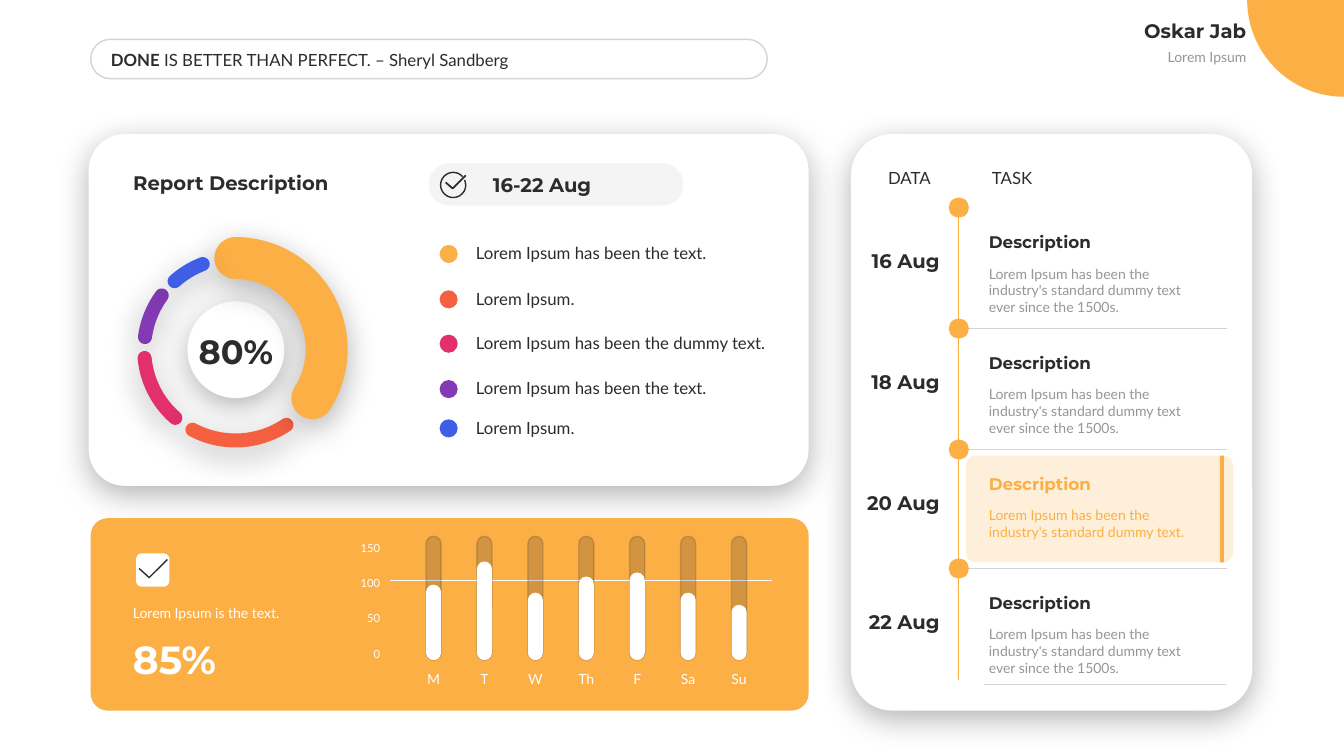
from dataclasses import dataclass

from lxml.etree import SubElement
from pptx import Presentation
from pptx.dml.color import RGBColor
from pptx.enum.shapes import MSO_CONNECTOR, MSO_SHAPE as Preset
from pptx.enum.text import MSO_ANCHOR as Anchor, MSO_AUTO_SIZE, PP_ALIGN as Align
from pptx.oxml.ns import qn
from pptx.util import Inches, Pt


@dataclass(frozen=True)
class Theme:
    ink: str = "2C2C2C"
    grey: str = "969696"
    white: str = "FFFFFF"
    black: str = "000000"
    amber: str = "FCAF45"
    cream: str = "FEEFDA"
    orange: str = "F56040"
    pink: str = "E1306C"
    purple: str = "833AB4"
    blue: str = "405DE6"
    # text styles: size, font, bold
    figure: tuple = (28, "Montserrat", True)
    percent: tuple = (24, "Montserrat", True)
    heading: tuple = (14, "Montserrat", True)
    subheading: tuple = (12, "Montserrat", True)
    body: tuple = (12, "Lato", False)
    small: tuple = (10, "Lato", False)
    axis: tuple = (8, "Lato", False)


theme = Theme()
presentation = Presentation()
presentation.slide_width, presentation.slide_height = Inches(13.33), Inches(7.5)
slide = presentation.slides.add_slide(presentation.slide_layouts[1])
shapes = slide.shapes
title, legend = slide.placeholders


def add_shape(preset, box, fill=None, line=None, width=1, alpha=100, adjust=(), shadow=False):
    """Add a preset shape; alpha is the opacity of fill and line in percent."""
    shape = shapes.add_shape(preset, *map(Inches, box))
    for index, value in enumerate(adjust):
        shape.adjustments[index] = value
    if fill:
        shape.fill.solid()
        shape.fill.fore_color.rgb = RGBColor.from_string(fill)
    else:
        shape.fill.background()
    if line:
        shape.line.color.rgb = RGBColor.from_string(line)
        shape.line.width = Pt(width)
    else:
        shape.line.fill.background()
    properties = shape._element.spPr
    if alpha < 100:
        for color in properties.iter(qn("a:srgbClr")):
            SubElement(color, qn("a:alpha"), val=str(alpha * 1000))
    shape.shadow.inherit = False
    if shadow:
        outer = SubElement(properties.find(qn("a:effectLst")), qn("a:outerShdw"),
                           blurRad=str(Pt(23)), dist=str(Pt(6)), dir="5400000",
                           algn="t", rotWithShape="0")
        color = SubElement(outer, qn("a:srgbClr"), val=theme.black)
        SubElement(color, qn("a:alpha"), val="30000")
    return shape


def add_text(box, text, style, color, align=Align.LEFT, anchor=Anchor.TOP, inset=0.1, shape=None):
    """Write text into a new text box, or into a placeholder brought to the front."""
    if shape is None:
        shape = shapes.add_textbox(*map(Inches, box))
    else:
        shape.left, shape.top, shape.width, shape.height = map(Inches, box)
        shapes._spTree.append(shape._element)
    frame = shape.text_frame
    frame.text = text
    frame.word_wrap = True
    frame.auto_size = MSO_AUTO_SIZE.NONE
    frame.vertical_anchor = anchor
    frame.margin_left = frame.margin_right = Inches(inset)
    for paragraph in frame.paragraphs:
        paragraph.alignment = align
        for run in paragraph.runs:
            run.font.size, run.font.name, run.font.bold = Pt(style[0]), style[1], style[2]
            run.font.color.rgb = RGBColor.from_string(color)
    return shape


# Header
degree = 0.6  # arc adjustment per degree
add_shape(Preset.ARC, (12.37, -0.96, 1.92, 1.92), theme.amber,
          adjust=(89.64 * degree, 180.45 * degree))
add_text((10.14, 0.43, 2.32, 0.27), "Lorem Ipsum", theme.small, theme.grey, Align.RIGHT)
add_text((10.14, 0.13, 2.32, 0.34), "Oskar Jab", theme.heading, theme.ink,
         Align.RIGHT, Anchor.BOTTOM)
add_shape(Preset.ROUNDED_RECTANGLE, (0.9, 0.39, 6.71, 0.39), line=theme.ink, alpha=20,
          adjust=(0.5,))
quote = add_text((1.06, 0.44, 5.64, 0.3), "DONE", theme.body, theme.ink,
                 anchor=Anchor.MIDDLE, inset=0.04)
quote_paragraph = quote.text_frame.paragraphs[0]
quote_paragraph.runs[0].font.bold = True
quote_rest = quote_paragraph.add_run()
quote_rest.text = " IS BETTER THAN PERFECT. – Sheryl Sandberg"
quote_rest.font.size, quote_rest.font.name = Pt(12), theme.body[1]
quote_rest.font.color.rgb = RGBColor.from_string(theme.ink)

# Cards
for box in ((0.88, 1.33, 7.14, 3.49), (8.44, 1.33, 3.98, 5.72)):
    add_shape(Preset.ROUNDED_RECTANGLE, box, theme.white, adjust=(0.103,), shadow=True)
add_shape(Preset.ROUNDED_RECTANGLE, (0.9, 5.14, 7.12, 1.91), theme.amber, adjust=(0.089,))
add_shape(Preset.ROUNDED_RECTANGLE, (9.58, 4.52, 2.65, 1.06), theme.cream, adjust=(0.091,))
add_shape(Preset.ROUNDED_RECTANGLE, (4.25, 1.62, 2.53, 0.42), theme.ink, alpha=5, adjust=(0.5,))
add_shape(Preset.ROUNDED_RECTANGLE, (1.35, 5.49, 0.33, 0.33), theme.white)

# Check marks
add_shape(Preset.ARC, (4.37, 1.71, 0.25, 0.25), line=theme.ink,
          adjust=(337 * degree, 318 * degree))
for width, points in ((1.25, ((4.42, 1.81), (4.49, 1.87), (4.62, 1.74))),
                      (1, ((1.38, 5.64), (1.48, 5.73), (1.66, 5.55)))):
    corners = [(Inches(x), Inches(y)) for x, y in points]
    builder = shapes.build_freeform(*corners[0])
    builder.add_line_segments(corners[1:], close=False)
    check = builder.convert_to_shape()
    check.fill.background()
    check.line.color.rgb = RGBColor.from_string(theme.ink)
    check.line.width = Pt(width)
    check.shadow.inherit = False

# Report card
add_text((1.22, 1.64, 3.52, 0.34), "Report Description", theme.heading, theme.ink,
         anchor=Anchor.BOTTOM, shape=title)
add_text((4.79, 1.66, 1.88, 0.34), "16-22 Aug", theme.heading, theme.ink, anchor=Anchor.MIDDLE)
add_shape(Preset.OVAL, (1.86, 2.99, 0.96, 0.96), theme.white, shadow=True)
add_text((1.8, 3.23, 1.08, 0.5), "80%", theme.percent, theme.ink, Align.CENTER, Anchor.BOTTOM)
for color, width, start, end in ((theme.purple, 10, 187.68, 216.15),
                                 (theme.pink, 10, 131.19, 174.5),
                                 (theme.orange, 10, 55.91, 118.1),
                                 (theme.amber, 30, 270, 32.43),
                                 (theme.blue, 10, 228.21, 249.04)):
    arc = add_shape(Preset.ARC, (1.43, 2.56, 1.81, 1.81), line=color, width=width,
                    adjust=(start * degree, end * degree), shadow=True)
    arc._element.spPr.find(qn("a:ln")).set("cap", "rnd")

legend_items = ((2.43, theme.amber, "Lorem Ipsum has been the text."),
                (2.88, theme.orange, "Lorem Ipsum."),
                (3.32, theme.pink, "Lorem Ipsum has been the dummy text."),
                (3.77, theme.purple, "Lorem Ipsum has been the text."),
                (4.16, theme.blue, "Lorem Ipsum."))
add_text((4.62, 2.36, 3.16, 2.05), "\n".join(item[2] for item in legend_items),
         theme.body, theme.ink, shape=legend)
previous_top = None
for (top, color, _), paragraph in zip(legend_items, legend.text_frame.paragraphs):
    add_shape(Preset.OVAL, (4.36, top, 0.18, 0.18), color)
    properties = paragraph._p.get_or_add_pPr()
    properties.set("marL", "0")
    properties.set("indent", "0")
    # the gap is the pitch of the dots less one 14.4 pt line
    paragraph.space_before = Pt(0 if previous_top is None else (top - previous_top) * 72 - 14.4)
    SubElement(properties, qn("a:buNone"))
    previous_top = top

# Rules of the bar chart and the timeline
timeline = ((2.06, "16 Aug"), (3.26, "18 Aug"), (4.46, "20 Aug"), (5.64, "22 Aug"))
rules = [((3.87, 5.76, 7.66, 5.76), theme.white, 100), ((9.76, 6.79, 12.16, 6.79), theme.ink, 20)]
rules += [((9.51, y + 0.05, 9.51, y + 1.11), theme.amber, 100) for y, _ in timeline]
rules += [((9.61, y, 12.17, y), theme.ink, 20) for y, _ in timeline[1:]]
for ends, color, alpha in rules:
    rule = shapes.add_connector(MSO_CONNECTOR.STRAIGHT, *map(Inches, ends))
    rule.line.color.rgb = RGBColor.from_string(color)
    rule.line.width = Pt(0.5)
    properties = rule._element.spPr
    SubElement(next(properties.iter(qn("a:srgbClr"))), qn("a:alpha"), val=str(alpha * 1000))
    SubElement(properties, qn("a:effectLst"))

# Week chart
add_text((1.22, 5.94, 1.88, 0.27), "Lorem Ipsum is the text.", theme.small, theme.white,
         anchor=Anchor.BOTTOM)
add_text((1.22, 6.25, 1.88, 0.57), "85%", theme.figure, theme.white)
for step in range(4):
    add_text((3.38, 6.37 - 0.35 * step, 0.49, 0.24), str(50 * step), theme.axis, theme.white,
             Align.RIGHT)
bar_base, track_height, bar_width = 6.55, 1.23, 0.15
week = (("M", 0.75), ("T", 0.98), ("W", 0.67), ("Th", 0.83), ("F", 0.87), ("Sa", 0.67), ("Su", 0.55))
for index, (day, height) in enumerate(week):
    center = 4.3 + 0.505 * index
    left = center - bar_width / 2
    add_shape(Preset.ROUNDED_RECTANGLE, (left, bar_base - track_height, bar_width, track_height),
              theme.ink, theme.ink, alpha=20, adjust=(0.5,))
    add_shape(Preset.ROUNDED_RECTANGLE, (left, bar_base - height, bar_width, height),
              theme.white, adjust=(0.5,))
    add_text((center - 0.195, 6.6, 0.39, 0.27), day, theme.small, theme.white, Align.CENTER, inset=0)

# Timeline
add_text((9.74, 1.61, 1.76, 0.3), "TASK", theme.body, theme.ink, anchor=Anchor.MIDDLE)
add_text((8.51, 1.61, 0.82, 0.3), "DATA", theme.body, theme.ink, Align.RIGHT, Anchor.MIDDLE)
for y, date in timeline:
    current = date == "20 Aug"
    ending = "." if current else " ever since the 1500s."
    add_shape(Preset.OVAL, (9.41, y - 0.1, 0.2, 0.2), theme.amber)
    add_text((8.52, y + 0.35, 0.84, 0.34), date, theme.heading, theme.ink,
             Align.RIGHT, Anchor.BOTTOM, 0.04)
    add_text((9.71, y + 0.19, 2.37, 0.3), "Description", theme.subheading,
             theme.amber if current else theme.ink, anchor=Anchor.BOTTOM)
    add_text((9.71, y + 0.52, 2.37, 0.61),
             "Lorem Ipsum has been the industry's standard dummy text" + ending,
             theme.small, theme.amber if current else theme.grey)
add_shape(Preset.RECTANGLE, (12.1, 4.52, 0.04, 1.06), theme.amber)

presentation.save("out.pptx")
